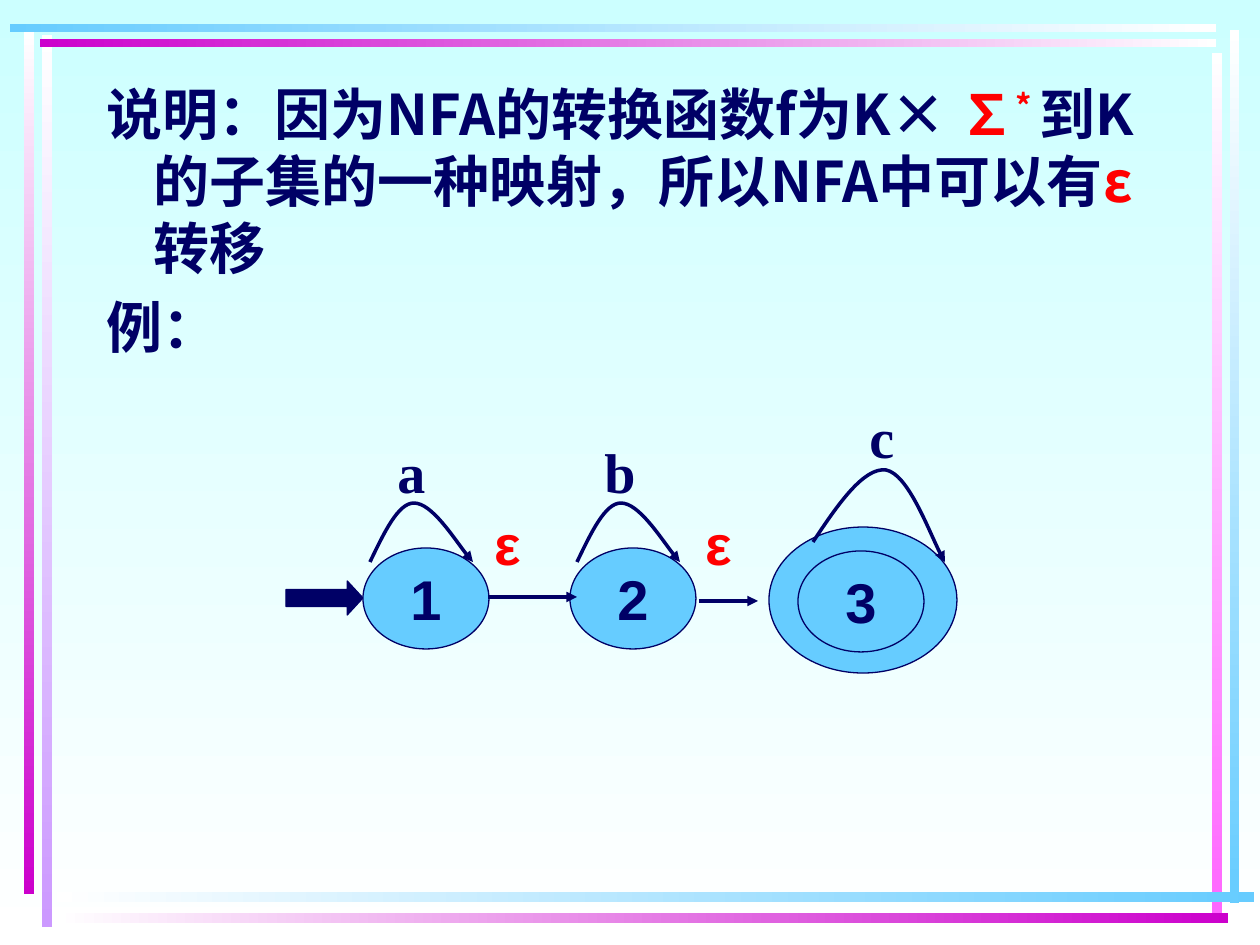
from lxml import etree
from pptx import Presentation, util as u
from pptx.dml.color import RGBColor
from pptx.enum import shapes, text
from pptx.oxml.ns import qn

SCALE = 914400 / 126
COLORS = {"navy": "000066", "red": "FF0000", "sky": "66CCFF", "white": "FFFFFF",
          "ice": "CCFFFF", "violet": "CC99FF", "purple": "CC00CC", "pink": "FF66FF"}
CJK = "Noto Sans CJK SC"


def px(*lengths):
    """Turn px lengths into EMU."""
    return [u.Emu(round(length * SCALE)) for length in lengths]


def rgb(name):
    """Look up a named colour."""
    return RGBColor.from_string(COLORS[name])


def write(paragraph, words, font="Arial", color="navy", size=32, raised=False):
    """Append one formatted bold run to a paragraph."""
    run = paragraph.add_run()
    run.text = words
    run.font.name, run.font.size, run.font.bold = font, u.Pt(size), True
    run.font.color.rgb = rgb(color)
    properties = run.font._element
    etree.SubElement(properties, qn("a:ea")).set("typeface", CJK)
    if raised:
        properties.set("baseline", "30000")


def blend(fill, start, end, angle):
    """Apply a two-colour linear gradient."""
    fill.gradient()
    fill.gradient_angle = angle
    for stop, color in zip(fill.gradient_stops, (start, end)):
        stop.color.rgb = rgb(color)


def add_preset(slide, preset, box, fill):
    """Add a preset shape with a solid fill and a thin navy outline."""
    shape = slide.shapes.add_shape(preset, *px(*box))
    shape.shadow.inherit = False
    shape.fill.solid()
    shape.fill.fore_color.rgb = rgb(fill)
    shape.line.color.rgb = rgb("navy")
    shape.line.width = u.Pt(0.75)
    return shape


def add_label(slide, box, words, align=text.PP_ALIGN.LEFT, **style):
    """Add a text label in the given box."""
    frame = slide.shapes.add_textbox(*px(*box)).text_frame
    frame.word_wrap = True
    frame.paragraphs[0].alignment = align
    write(frame.paragraphs[0], words, **style)


def add_state(slide, box, number):
    """Add a numbered state circle."""
    frame = add_preset(slide, shapes.MSO_SHAPE.OVAL, box, "sky").text_frame
    frame.word_wrap = False
    frame.vertical_anchor = text.MSO_ANCHOR.MIDDLE
    frame.paragraphs[0].alignment = text.PP_ALIGN.CENTER
    write(frame.paragraphs[0], number)


def style_arrow(arrow):
    """Give a line or curve its navy stroke and triangular head."""
    arrow.line.color.rgb = rgb("navy")
    arrow.line.width = u.Pt(2)
    stroke = arrow.line._get_or_add_ln()
    etree.SubElement(stroke, qn("a:tailEnd")).set("type", "triangle")


def add_transition(slide, left, top, width):
    """Add a straight arrow pointing right."""
    arrow = slide.shapes.add_connector(
        shapes.MSO_CONNECTOR.STRAIGHT, *px(left, top, left + width, top))
    style_arrow(arrow)
    etree.SubElement(arrow._element.spPr, qn("a:effectLst"))


def add_loop(slide, left, top, points):
    """Add a curved arrow from a start point and Bézier triples."""
    start, *controls = [(left + x, top + y) for x, y in points]
    builder = slide.shapes.build_freeform(*start, scale=SCALE)
    builder.add_line_segments(controls, close=False)
    loop = builder.convert_to_shape()
    segments = list(loop._element.iter(qn("a:lnTo")))
    for first in range(0, len(segments), 3):
        curve = etree.Element(qn("a:cubicBezTo"))
        segments[first].addprevious(curve)
        for segment in segments[first:first + 3]:
            curve.append(segment[0])
            segment.getparent().remove(segment)
    loop.shadow.inherit = False
    loop.fill.background()
    style_arrow(loop)


def build_frame(slide):
    """Draw the gradient bars along the four edges."""
    bars = [((42, 35, 10, 892), "white", "violet"),
            ((24, 32, 10, 862), "white", "purple"),
            ((1230, 30, 9, 873), "white", "sky"),
            ((1212, 53, 10, 861), "white", "pink"),
            ((57, 892, 1197, 10), "white", "sky"),
            ((57, 913, 1171, 10), "white", "purple"),
            ((40, 39, 1176, 8), "purple", "white"),
            ((10, 24, 1206, 8), "sky", "white")]
    for box, start, end in bars:
        bar = add_preset(slide, shapes.MSO_SHAPE.RECTANGLE, box, "white")
        bar.line.fill.background()
        blend(bar.fill, start, end, 270 if box[3] > box[2] else 0)


def build_explanation(slide, box):
    """Fill the body placeholder with the explanation."""
    body = slide.placeholders[1]
    body.left, body.top, body.width, body.height = px(*box)
    frame = body.text_frame
    frame.auto_size = text.MSO_AUTO_SIZE.NONE
    lines = [[("说明：因为NFA的转换函数f为K× ", {}),
              ("∑", {"color": "red"}),
              ("* ", {"color": "red", "raised": True}),
              ("到K的子集的一种映射，所以NFA中可以有", {}),
              ("ε", {"color": "red"}),
              ("转移", {})],
             [("例：", {})]]
    for index, runs in enumerate(lines):
        paragraph = frame.add_paragraph() if index else frame.paragraphs[0]
        etree.SubElement(paragraph._p.get_or_add_pPr(), qn("a:buNone"))
        paragraph.space_before = u.Pt(6.4 * index)
        for words, style in runs:
            write(paragraph, words, font=CJK, **style)


def build_automaton(slide, left, top):
    """Draw the three-state automaton from its top left corner."""
    oval = shapes.MSO_SHAPE.OVAL
    small_loop = [(0, 59), (14, 30), (28, 0), (44, 0), (62, 0), (93, 49), (103, 59)]
    final_loop = [(0, 75), (25, 37), (51, 0), (73, 3), (95, 7), (122, 80), (132, 95)]
    entry = add_preset(slide, shapes.MSO_SHAPE.RIGHT_ARROW,
                       (left, top + 185, 77, 34), "navy")
    entry.adjustments[0], entry.adjustments[1] = 0.5, 0.46
    for index, letter in enumerate("ab"):
        x = left + 207 * index
        add_state(slide, (x + 77, top + 152, 126, 101), str(index + 1))
        add_loop(slide, x + 84, top + 107, small_loop)
        add_label(slide, (x + 99, top + 35, 59, 79), letter, font="Times New Roman")
        add_label(slide, (left + 173 + 211 * index, top + 107, 97, 79), "ε",
                  align=text.PP_ALIGN.CENTER, color="red")
    add_preset(slide, oval, (left + 483, top + 131, 188, 146), "sky")
    add_state(slide, (left + 512, top + 155, 126, 101), "3")
    add_loop(slide, left + 527, top + 71, final_loop)
    add_label(slide, (left + 571, top, 73, 79), "c", font="Times New Roman")
    add_transition(slide, left + 202, top + 201, 89)
    add_transition(slide, left + 413, top + 205, 59)


def main():
    """Build and save the slide."""
    deck = Presentation()
    deck.slide_width, deck.slide_height = px(1260, 945)
    slide = deck.slides.add_slide(deck.slide_layouts[1])
    title = slide.shapes.title._element
    title.getparent().remove(title)
    blend(slide.background.fill, "ice", "white", 270)
    build_frame(slide)
    build_explanation(slide, (94, 73, 1071, 336))
    build_automaton(slide, 286, 396)
    deck.save("out.pptx")


if __name__ == "__main__":
    main()
